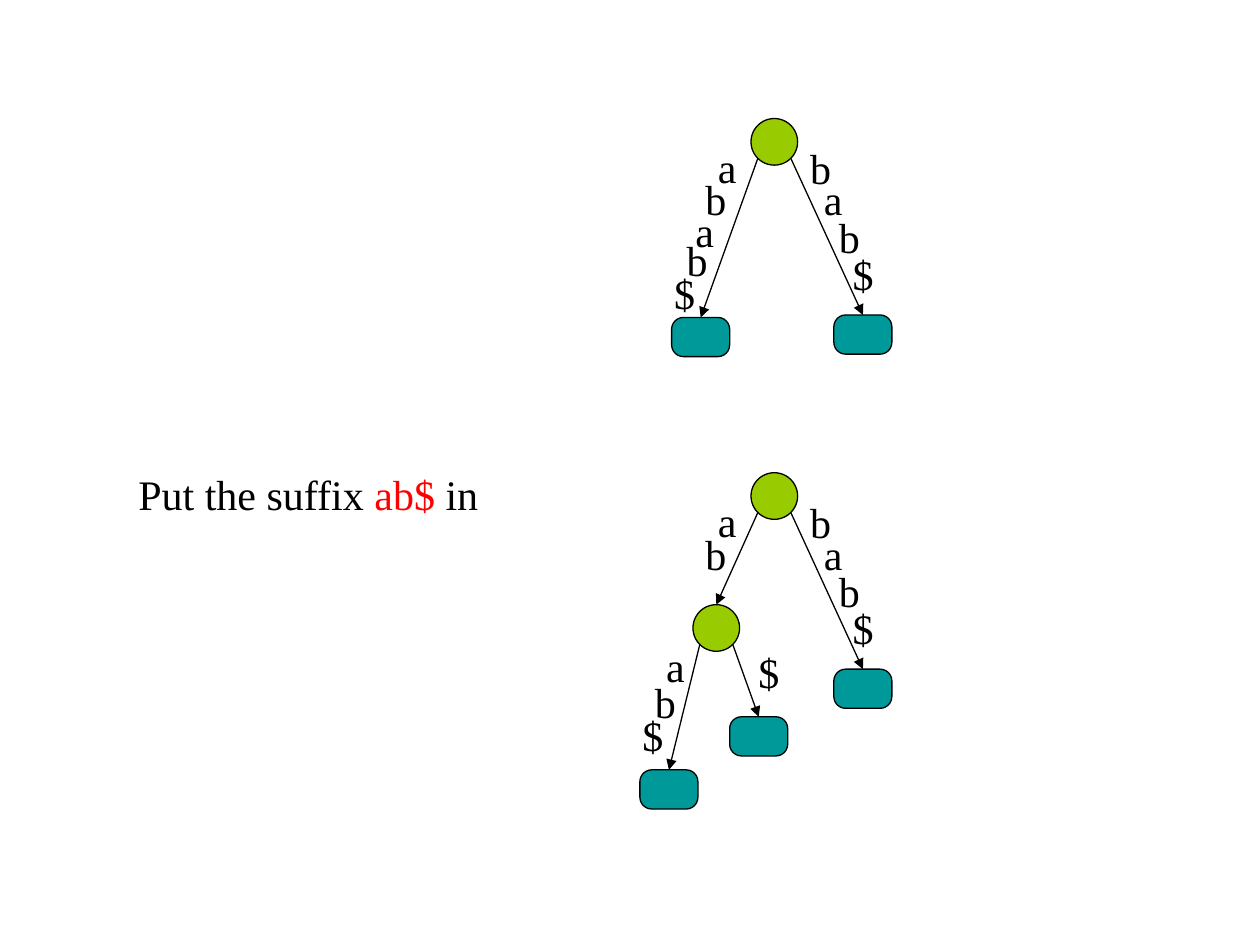
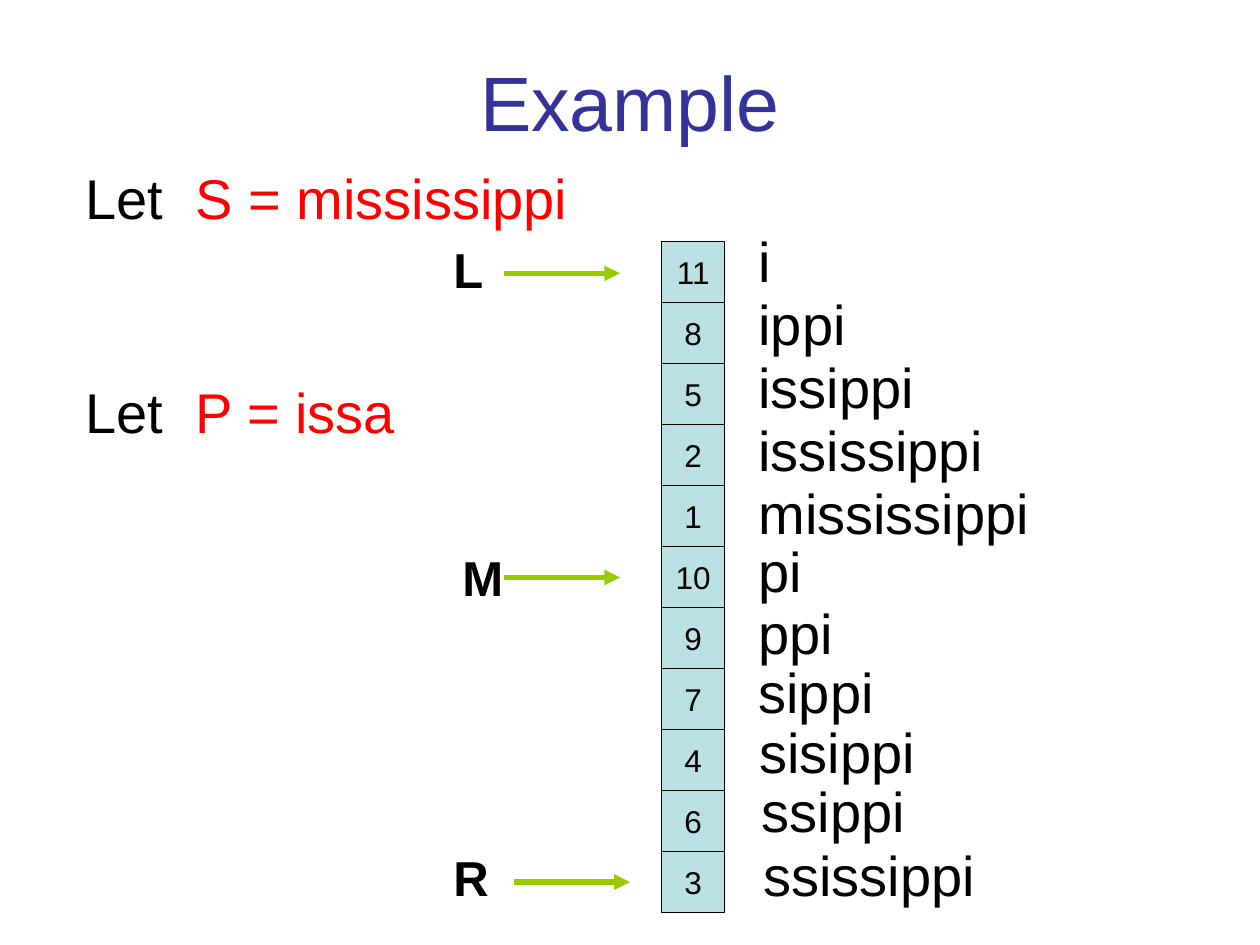
from dataclasses import dataclass

from lxml import etree
from pptx import Presentation
from pptx.dml.color import RGBColor
from pptx.enum.shapes import MSO_CONNECTOR as Connector, MSO_SHAPE as Preset
from pptx.enum.text import MSO_ANCHOR as Anchor, MSO_AUTO_SIZE as AutoSize, PP_ALIGN as Align
from pptx.oxml.ns import qn
from pptx.shapes.autoshape import Shape
from pptx.slide import Slide
from pptx.util import Cm, Pt

BLACK = RGBColor(0x00, 0x00, 0x00)
RED = RGBColor(0xFF, 0x00, 0x00)
GREEN = RGBColor(0x99, 0xCC, 0x00)
TEAL = RGBColor(0x00, 0x99, 0x99)
PALE_BLUE = RGBColor(0xBB, 0xE0, 0xE3)
INDIGO = RGBColor(0x33, 0x33, 0x99)

SANS = "Arial"
SERIF = "Times New Roman"

NODE_SIZE = 0.94
LEAF_WIDTH, LEAF_HEIGHT = 1.17, 0.79
LOWER_TREE = 7.14
DIAGONAL = 0.5 ** 0.5
CELL_WIDTH, CELL_PITCH = 1.27, 1.23
CELL_LEFT, CELL_TOP = 13.34, 4.87
POINTER_LENGTH = 2.34


@dataclass(frozen=True)
class TextStyle:
    font: str
    size: int
    bold: bool = False


@dataclass(frozen=True)
class EdgeLetter:
    text: str
    left: float
    top: float


@dataclass(frozen=True)
class Suffix:
    start: int
    text: str
    top: float
    left: float = 15.04


@dataclass(frozen=True)
class Pointer:
    name: str
    label_left: float
    label_top: float
    arrow_left: float
    arrow_top: float


TREE_TEXT = TextStyle(SERIF, 24)
BODY_TEXT = TextStyle(SANS, 32)
CELL_TEXT = TextStyle(SANS, 18)
POINTER_TEXT = TextStyle(SANS, 28, True)
TITLE_TEXT = TextStyle(SANS, 44)

LEFT_BRANCH = [
    EdgeLetter("a", 14.22, 2.72),
    EdgeLetter("b", 13.97, 3.38),
    EdgeLetter("a", 13.77, 4.01),
    EdgeLetter("b", 13.59, 4.60),
    EdgeLetter("$", 13.34, 5.26),
]
RIGHT_BRANCH = [
    EdgeLetter("b", 16.08, 2.74),
    EdgeLetter("a", 16.36, 3.38),
    EdgeLetter("b", 16.66, 4.14),
    EdgeLetter("$", 16.94, 4.88),
]
SPLIT_BRANCHES = [
    EdgeLetter("a", 13.18, 12.78),
    EdgeLetter("b", 12.95, 13.51),
    EdgeLetter("$", 12.70, 14.17),
    EdgeLetter("$", 15.04, 12.90),
]
SUFFIXES = [
    Suffix(11, "i", 4.45),
    Suffix(8, "ippi", 5.72),
    Suffix(5, "issippi", 6.99),
    Suffix(2, "ississippi", 8.26),
    Suffix(1, "mississippi", 9.53),
    Suffix(10, "pi", 10.69),
    Suffix(9, "ppi", 11.94),
    Suffix(7, "sippi", 13.13),
    Suffix(4, "sisippi", 14.33, 15.06),
    Suffix(6, "ssippi", 15.52, 15.11),
    Suffix(3, "ssissippi", 16.81, 15.14),
]
POINTERS = [
    Pointer("L", 8.89, 4.70, 10.16, 5.51),
    Pointer("M", 9.07, 10.92, 10.16, 11.64),
    Pointer("R", 8.89, 16.97, 10.36, 17.78),
]


def style_paragraph(paragraph, style: TextStyle, color: RGBColor | None = BLACK) -> None:
    paragraph.font.name = style.font
    paragraph.font.size = Pt(style.size)
    paragraph.font.bold = style.bold
    if color is not None:
        paragraph.font.color.rgb = color


def add_text(slide: Slide, left: float, top: float, width: float, height: float,
             style: TextStyle, *pieces: tuple[str, RGBColor]):
    box = slide.shapes.add_textbox(Cm(left), Cm(top), Cm(width), Cm(height))
    frame = box.text_frame
    frame.word_wrap = True
    frame.auto_size = AutoSize.SHAPE_TO_FIT_TEXT
    paragraph = frame.paragraphs[0]
    shared_color = pieces[0][1] if len(pieces) == 1 else None
    style_paragraph(paragraph, style, shared_color)
    for text, color in pieces:
        run = paragraph.add_run()
        run.text = text
        if shared_color is None:
            run.font.color.rgb = color
    return paragraph


def add_filled(shapes, preset: Preset, left: float, top: float, width: float,
               height: float, fill: RGBColor) -> Shape:
    shape = shapes.add_shape(preset, Cm(left), Cm(top), Cm(width), Cm(height))
    shape.shadow.inherit = False
    shape.fill.solid()
    shape.fill.fore_color.rgb = fill
    shape.line.color.rgb = BLACK
    shape.line.width = Pt(0.75)
    return shape


def add_node(slide: Slide, left: float, top: float) -> Shape:
    return add_filled(slide.shapes, Preset.OVAL, left, top, NODE_SIZE, NODE_SIZE, GREEN)


def add_leaf(slide: Slide, left: float, top: float) -> Shape:
    leaf = add_filled(slide.shapes, Preset.ROUNDED_RECTANGLE, left, top,
                      LEAF_WIDTH, LEAF_HEIGHT, TEAL)
    leaf.adjustments[0] = 0.3
    return leaf


def add_arrow(slide: Slide, start: tuple[int, int], end: tuple[int, int],
              color: RGBColor, width: float):
    arrow = slide.shapes.add_connector(Connector.STRAIGHT, *start, *end)
    arrow.line.color.rgb = color
    arrow.line.width = Pt(width)
    etree.SubElement(arrow.line._get_or_add_ln(), qn("a:tailEnd"), type="triangle")
    etree.SubElement(arrow._element.spPr, qn("a:effectLst"))
    return arrow


def add_edge(slide: Slide, parent: Shape, child: Shape, side: int) -> None:
    radius = parent.width / 2
    reach = radius * DIAGONAL
    start = (int(parent.left + radius + side * reach), int(parent.top + radius + reach))
    end = (child.left + child.width // 2, child.top)
    add_arrow(slide, start, end, BLACK, 0.75).end_connect(child, 0)


def add_letters(slide: Slide, letters: list[EdgeLetter], offset: float = 0) -> None:
    for letter in letters:
        add_text(slide, letter.left, letter.top + offset, 1.07, 1.27,
                 TREE_TEXT, (letter.text, BLACK))


def add_root_with_right_branch(slide: Slide, offset: float) -> Shape:
    root = add_node(slide, 15.14, 2.39 + offset)
    add_edge(slide, root, add_leaf(slide, 16.81, 6.35 + offset), 1)
    add_letters(slide, RIGHT_BRANCH, offset)
    return root


def build_suffix_tree_slide(presentation) -> None:
    slide = presentation.slides.add_slide(presentation.slide_layouts[6])
    add_text(slide, 2.54, 9.32, 9.73, 1.27, TREE_TEXT,
             ("Put the suffix ", BLACK), ("ab$", RED), (" in", BLACK))

    upper_root = add_root_with_right_branch(slide, 0)
    add_edge(slide, upper_root, add_leaf(slide, 13.54, 6.40), -1)
    add_letters(slide, LEFT_BRANCH)

    lower_root = add_root_with_right_branch(slide, LOWER_TREE)
    split_node = add_node(slide, 13.97, 12.19)
    add_edge(slide, lower_root, split_node, -1)
    add_edge(slide, split_node, add_leaf(slide, 12.90, 15.52), -1)
    add_edge(slide, split_node, add_leaf(slide, 14.71, 14.45), 1)
    add_letters(slide, LEFT_BRANCH[:2], LOWER_TREE)
    add_letters(slide, SPLIT_BRANCHES)


def add_definition(slide: Slide, top: float, definition: str) -> None:
    paragraph = add_text(slide, 1.47, top, 11.86, 1.63, BODY_TEXT,
                         ("Let\t", BLACK), (definition, RED))
    properties = paragraph._p.get_or_add_pPr()
    tabs = etree.Element(qn("a:tabLst"))
    etree.SubElement(tabs, qn("a:tab"), pos=str(Cm(2.22)), algn="l")
    properties.insert(0, tabs)


def add_suffix_array(slide: Slide) -> None:
    cells = slide.shapes.add_group_shape()
    for row, suffix in enumerate(SUFFIXES):
        cell = add_filled(cells.shapes, Preset.RECTANGLE, CELL_LEFT,
                          CELL_TOP + row * CELL_PITCH, CELL_WIDTH, CELL_PITCH, PALE_BLUE)
        frame = cell.text_frame
        frame.word_wrap = False
        frame.vertical_anchor = Anchor.MIDDLE
        paragraph = frame.paragraphs[0]
        paragraph.text = str(suffix.start)
        paragraph.alignment = Align.CENTER
        style_paragraph(paragraph, CELL_TEXT)
        add_text(slide, suffix.left, suffix.top, 9.53, 1.63, BODY_TEXT, (suffix.text, BLACK))


def build_example_slide(presentation) -> None:
    slide = presentation.slides.add_slide(presentation.slide_layouts[5])
    title = slide.shapes.title
    title.left, title.top, title.width, title.height = Cm(1.27), Cm(0.43), Cm(22.86), Cm(3.18)
    title.text_frame.vertical_anchor = Anchor.MIDDLE
    paragraph = title.text_frame.paragraphs[0]
    paragraph.text = "Example"
    paragraph.alignment = Align.CENTER
    style_paragraph(paragraph, TITLE_TEXT, INDIGO)

    add_definition(slide, 3.18, "S = mississippi")
    add_definition(slide, 7.49, "P = issa")
    add_suffix_array(slide)
    for pointer in POINTERS:
        add_text(slide, pointer.label_left, pointer.label_top, 1.47, 1.45,
                 POINTER_TEXT, (pointer.name, BLACK))
        add_arrow(slide, (Cm(pointer.arrow_left), Cm(pointer.arrow_top)),
                  (Cm(pointer.arrow_left + POINTER_LENGTH), Cm(pointer.arrow_top)), GREEN, 3)


def main() -> None:
    presentation = Presentation()
    presentation.slide_width = Cm(25.4)
    presentation.slide_height = Cm(19.05)
    build_suffix_tree_slide(presentation)
    build_example_slide(presentation)
    presentation.save("out.pptx")


if __name__ == "__main__":
    main()
